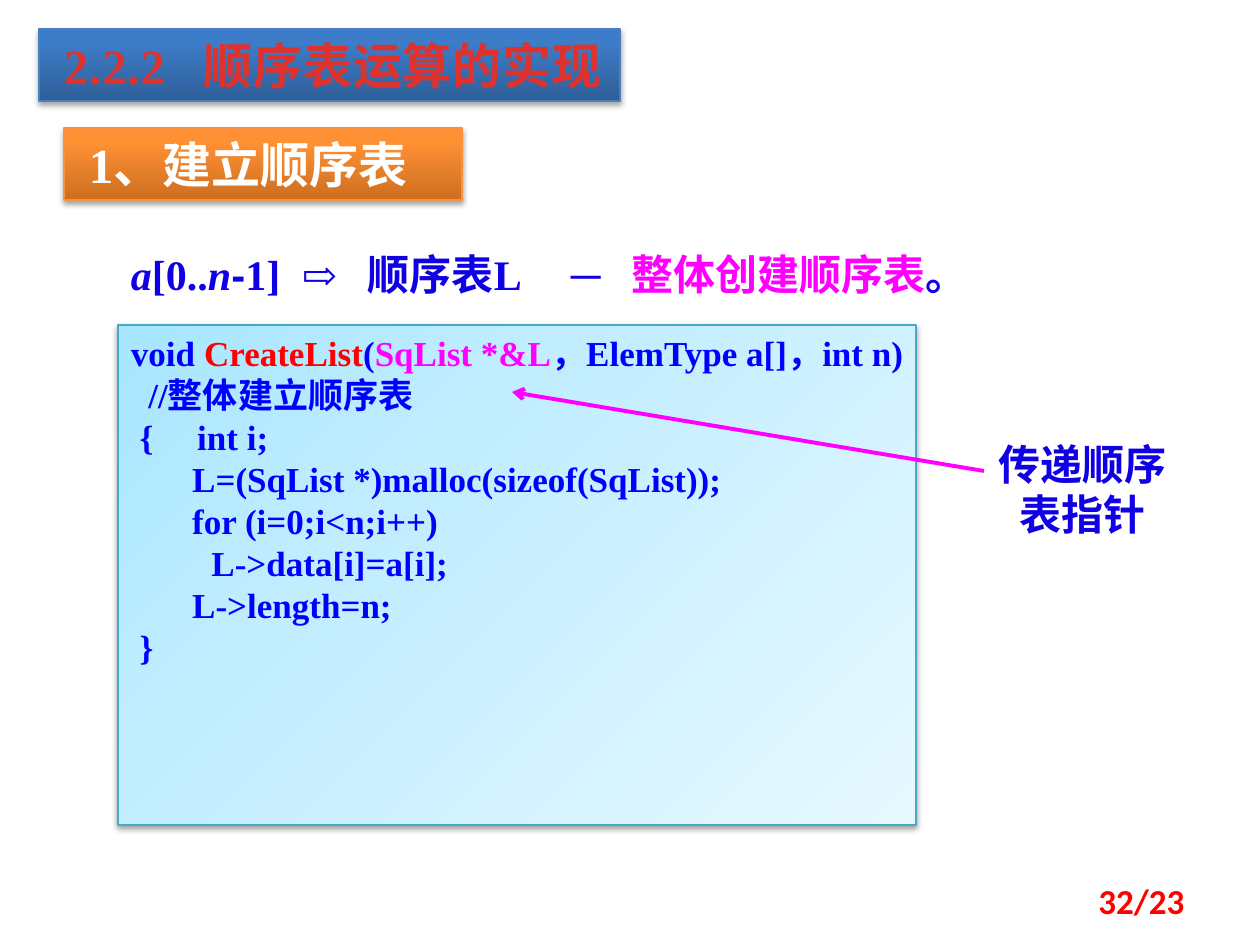
"""Build the slide on creating a sequential list, with its code and a pointer note."""
from lxml.etree import SubElement as sub
from pptx import Presentation
from pptx.dml.color import RGBColor
from pptx.enum.shapes import MSO_CONNECTOR as Conn, MSO_SHAPE as Shape
from pptx.enum.text import MSO_ANCHOR as Anchor, PP_ALIGN as Align
from pptx.oxml import parse_xml
from pptx.oxml.ns import qn
from pptx.util import Pt

PX = 7257
NS = 'xmlns:a="http://schemas.openxmlformats.org/drawingml/2006/main"'
SERIF, HAN = "Times New Roman", "Noto Sans CJK SC"
BLUE, NAVY, RED, PINK = "0000FF", "1000E4", "FF0000", "FF00FF"


def hue(code):
    return RGBColor.from_string(code)


def write(shape, lines, size=24, color=NAVY, font=SERIF, align=Align.LEFT,
          anchor=Anchor.TOP, left=13, space=None, tabs=(), spc=None):
    frame = shape.text_frame
    frame.word_wrap = True
    frame.vertical_anchor = anchor
    frame.margin_left = left * PX
    for i, line in enumerate(lines):
        para = frame.paragraphs[0] if i == 0 else frame.add_paragraph()
        para.alignment = align
        para.line_spacing = space
        if tabs:
            stops = sub(para._p.get_or_add_pPr(), qn("a:tabLst"))
            for pos in tabs:
                sub(stops, qn("a:tab"), pos=str(pos * PX), algn="l")
        for words, *look in [(line,)] if isinstance(line, str) else line:
            look = look[0] if look else {}
            run = para.add_run()
            run.text = words
            run.font.size = Pt(size)
            run.font.bold = True
            run.font.italic = look.get("italic", False)
            run.font.color.rgb = hue(look.get("color", color))
            run.font.name = look.get("font", font)
            props = run._r.get_or_add_rPr()
            sub(props, qn("a:ea"), typeface=HAN)
            if spc:
                props.set("spc", str(spc))


deck = Presentation()
deck.slide_width, deck.slide_height = 1260 * PX, 945 * PX
slide = deck.slides.add_slide(deck.slide_layouts[6])
shapes = slide.shapes

panels = [
    ((118, 325, 798, 500), [(0, "A7E6FF"), (35, "C1EDFF"), (100, "E7F8FF")],
     45, "46AAC5", 38),
    ((64, 128, 398, 72), [(0, "CC6E20"), (80, "FF9034"), (100, "FF9136")],
     270, "F69240", 35),
    ((39, 29, 581, 72), [(0, "2F5F99"), (80, "3D7CC7"), (100, "3A7CCB")],
     270, "4B7EBC", 35),
]
boxes = []
for place, stops, angle, edge, dark in panels:
    box = shapes.add_shape(Shape.RECTANGLE, *[n * PX for n in place])
    box.line.color.rgb = hue(edge)
    box.line.width = Pt(0.75)
    marks = "".join(f'<a:gs pos="{at * 1000}"><a:srgbClr val="{code}"/></a:gs>'
                    for at, code in stops)
    box._element.spPr.find(qn("a:prstGeom")).addnext(parse_xml(
        f'<a:gradFill {NS} rotWithShape="1"><a:gsLst>{marks}</a:gsLst>'
        f'<a:lin ang="{angle * 60000}" scaled="0"/></a:gradFill>'))
    box._element.spPr.append(parse_xml(
        f'<a:effectLst {NS}><a:outerShdw blurRad="40000" dist="22000" '
        f'dir="5400000" rotWithShape="0"><a:srgbClr val="000000">'
        f'<a:alpha val="{dark * 1000}"/></a:srgbClr></a:outerShdw></a:effectLst>'))
    boxes.append(box)
code, topic, title = boxes

write(code, [
    [("void ",), ("CreateList", {"color": RED}), ("(",),
     ("SqList *&L", {"color": PINK}), ("，ElemType a[]，int n)",)],
    "  //整体建立顺序表",
    " {     int i;",
    "       L=(SqList *)malloc(sizeof(SqList));",
    "       for (i=0;i<n;i++)",
    "\t  L->data[i]=a[i];",
    "       L->length=n;",
    " }",
], size=20, color=BLUE)
write(topic, ["1、建立顺序表"], size=28, color="FFFFFF", left=25)
write(title, ["2.2.2\t顺序表运算的实现"], size=28, color="E0322D", left=25,
      tabs=[140], spc=50)

notes = [
    ((118, 232, 925, 74),
     [[("a", {"italic": True}), ("[0..",), ("n", {"italic": True}),
       ("-", {"font": "Arial"}), ("1]\t⇨\t顺序表L\t─\t",),
       ("整体创建顺序表", {"color": PINK}), ("。",)]],
     {"space": 1.2, "tabs": [171, 237, 440, 501]}),
    ((974, 432, 217, 97), ["传递顺序表指针"],
     {"font": HAN, "align": Align.CENTER}),
    ((903, 876, 294, 50), ["32/23"],
     {"size": 20, "color": RED, "font": "Calibri", "align": Align.RIGHT,
      "anchor": Anchor.MIDDLE}),
]
for place, lines, look in notes:
    write(shapes.add_textbox(*[n * PX for n in place]), lines, **look)

arrow = shapes.add_connector(Conn.STRAIGHT, *[n * PX for n in (984, 471, 512, 392)])
arrow.line.color.rgb = hue(PINK)
arrow.line.width = Pt(2.25)
sub(arrow.line._get_or_add_ln(), qn("a:tailEnd"), type="arrow")
sub(arrow._element.spPr, qn("a:effectLst"))

deck.save("out.pptx")
